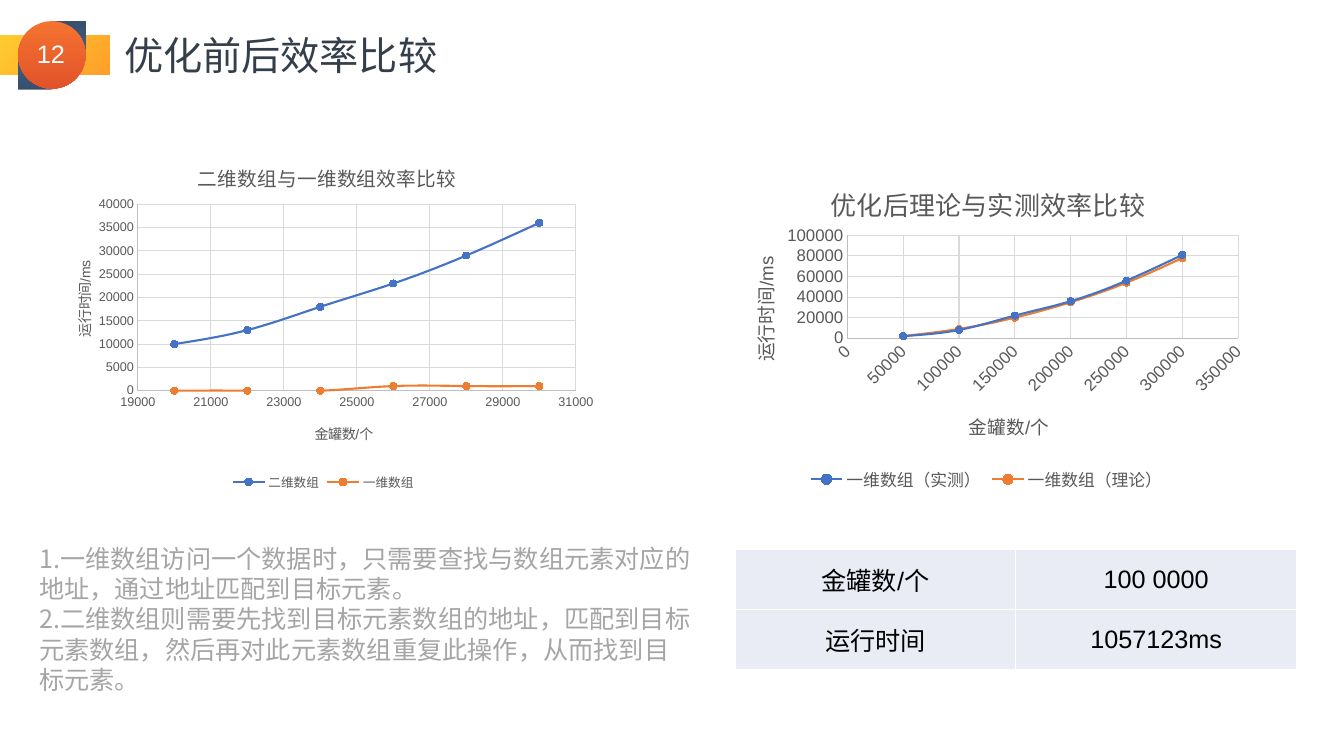
import pptx
import pptx.chart.data
import pptx.dml.color
import pptx.enum.chart
import pptx.enum.shapes
import pptx.enum.text
import pptx.oxml
import pptx.oxml.ns
import pptx.util

Inches, Pt = pptx.util.Inches, pptx.util.Pt
RGB = pptx.dml.color.RGBColor.from_string
qn = pptx.oxml.ns.qn
SHAPE = pptx.enum.shapes.MSO_SHAPE
ALIGN, ANCHOR = pptx.enum.text.PP_ALIGN, pptx.enum.text.MSO_ANCHOR
CHART_NS = pptx.oxml.ns.nsdecls("c")

THEME = {
    "title": {"size": Pt(28), "name": "Noto Sans CJK SC", "color": "353F4B"},
    "number": {"size": Pt(18), "name": "Arial", "color": "FFFFFF"},
    "cell": {"size": Pt(18), "name": "Arial", "color": "000000"},
    "note": {"size": Pt(18), "name": "Lato", "color": "A5A5A5"},
    "chart": {"name": "Arial", "color": "595959", "bold": False},
    "yellow": ("FFCC30", "FF9F2A"),
    "navy": ("384F6E", "4A6C90"),
    "orange": ("F47331", "E25329"),
    "series": ("4472C4", "ED7D31"),
    "axis": "BFBFBF", "grid": "D9D9D9", "cell_fill": "E9EBF5",
}


def style(font, role, **extra):
    for key, value in {**THEME[role], **extra}.items():
        if key == "color":
            font.color.rgb = RGB(value)
        else:
            setattr(font, key, value)


def place(parent, after, **box):
    """Put a manual layout, in fractions of the chart, after a child element."""
    for old in parent.findall(qn("c:layout")):
        parent.remove(old)
    target = '<c:layoutTarget val="inner"/>' if "w" in box else ""
    modes = "".join(f'<c:{k}Mode val="edge"/>' for k in "xy")
    sizes = "".join(f'<c:{k} val="{v}"/>' for k, v in box.items())
    layout = pptx.oxml.parse_xml(
        f"<c:layout {CHART_NS}><c:manualLayout>{target}{modes}{sizes}"
        "</c:manualLayout></c:layout>")
    if after is None:
        parent.insert(0, layout)
    else:
        after.addnext(layout)


prs = pptx.Presentation()
prs.slide_width, prs.slide_height = Inches(13.33), Inches(7.5)
s = prs.slides.add_slide(prs.slide_layouts[5])

# Page number badge
badge = [
    (SHAPE.RECTANGLE, 0, 0.35, 1.09, 0.39, "yellow", 45, 0),
    (SHAPE.TEAR, 0.28, 0.21, 0.58, 0.58, "navy", 90, 0),
    (SHAPE.TEAR, 0.18, 0.31, 0.58, 0.58, "navy", 90, 180),
    (SHAPE.OVAL, 0.18, 0.21, 0.67, 0.67, "orange", 90, 0),
]
for kind, x, y, w, h, colors, angle, turn in badge:
    sp = s.shapes.add_shape(kind, Inches(x), Inches(y), Inches(w), Inches(h))
    sp.shadow.inherit = False
    sp.rotation = turn
    sp.line.fill.background()
    sp.fill.gradient()
    sp.fill.gradient_angle = 360 - angle
    for stop, color in zip(sp.fill.gradient_stops, THEME[colors]):
        stop.color.rgb = RGB(color)
tf = s.shapes.add_textbox(Inches(0.25), Inches(0.33), Inches(0.51), Inches(0.4)).text_frame
p = tf.paragraphs[0]
p.text, p.alignment = "12", ALIGN.CENTER
style(p.runs[0].font, "number")

# Title
title = s.shapes.title
title.left, title.top, title.width, title.height = (
    Inches(v) for v in (1.13, 0.26, 3.34, 0.57))
tf = title.text_frame
tf.text, tf.word_wrap, tf.vertical_anchor = "优化前后效率比较", False, ANCHOR.MIDDLE
tf.auto_size = pptx.enum.text.MSO_AUTO_SIZE.NONE
p = tf.paragraphs[0]
p.alignment = ALIGN.LEFT
style(p.runs[0].font, "title")

# Charts
charts = [
    {"box": (0.42, 1.35, 5.57, 3.56), "title": "二维数组与一维数组效率比较",
     "sizes": (14, 10, 9), "x_scale": (19000, 31000, 2000), "y_scale": (0, 40000, 5000),
     "plot": {"x": 0.17, "y": 0.19, "w": 0.78, "h": 0.52}, "title_at": (0.27, 0.06),
     "x_at": (0.48, 0.79), "y_at": (0.05, 0.34), "x_turn": 0,
     "x": range(20000, 30001, 2000),
     "series": {"二维数组": (10000, 13000, 18000, 23000, 29000, 36000),
                "一维数组": (0, 0, 0, 1000, 1000, 1000)}},
    {"box": (7.13, 1.52, 5.31, 3.4), "title": "优化后理论与实测效率比较",
     "sizes": (18.6, 13.3, 12), "x_scale": (0, 350000, 50000), "y_scale": (0, 100000, 20000),
     "plot": {"x": 0.24, "y": 0.24, "w": 0.73, "h": 0.3}, "title_at": (0.2, 0.07),
     "x_at": (0.46, 0.74), "y_at": (0.05, 0.29), "x_turn": -45,
     "x": range(50000, 300001, 50000),
     "series": {"一维数组（实测）": (2000, 8000, 22000, 36000, 56000, 81000),
                "一维数组（理论）": (2000, 9000, 20000, 35000, 54000, 78000)}},
]
for c in charts:
    data = pptx.chart.data.XyChartData()
    for name, values in c["series"].items():
        ser = data.add_series(name)
        for x, y in zip(c["x"], values):
            ser.add_data_point(x, y)
    chart = s.shapes.add_chart(pptx.enum.chart.XL_CHART_TYPE.XY_SCATTER_SMOOTH,
                               *(Inches(v) for v in c["box"]), data).chart
    title_size, axis_size, label_size = (Pt(v) for v in c["sizes"])
    style(chart.font, "chart", size=label_size)
    chart.has_legend = True
    chart.legend.position = pptx.enum.chart.XL_LEGEND_POSITION.BOTTOM
    chart.legend.include_in_layout = False
    style(chart.legend.font, "chart", size=label_size)

    # Axes and titles
    x_axis, y_axis = chart.category_axis, chart.value_axis
    for axis, scale in ((x_axis, c["x_scale"]), (y_axis, c["y_scale"])):
        axis.minimum_scale, axis.maximum_scale, axis.major_unit = scale
        axis.major_tick_mark = axis.minor_tick_mark = pptx.enum.chart.XL_TICK_MARK.NONE
        axis.has_major_gridlines = True
        for line, color in ((axis.format.line, "axis"), (axis.major_gridlines.format.line, "grid")):
            line.color.rgb, line.width = RGB(THEME[color]), Pt(0.75)
        style(axis.tick_labels.font, "chart", size=label_size)
        axis.tick_labels.number_format = "General"
        axis.tick_labels.number_format_is_linked = False
    body = x_axis._element.find(qn("c:txPr")).find(qn("a:bodyPr"))
    body.set("rot", str(c["x_turn"] * 60000))
    for owner, text, at, size in ((chart, c["title"], c["title_at"], title_size),
                                  (x_axis, "金罐数/个", c["x_at"], axis_size),
                                  (y_axis, "运行时间/ms", c["y_at"], axis_size)):
        owner.has_title = True
        heading = owner.chart_title if owner is chart else owner.axis_title
        heading.text_frame.text = text
        style(heading.text_frame.paragraphs[0].runs[0].font, "chart", size=size)
        if owner is y_axis:
            body = heading.text_frame._txBody.find(qn("a:bodyPr"))
            body.set("rot", "-5400000")
            body.set("vert", "horz")
        place(heading._element, heading._element.find(qn("c:tx")), x=at[0], y=at[1])
    place(chart._chartSpace.chart.plotArea, None, **c["plot"])

    # Curves
    plot = chart.plots[0]
    plot.vary_by_categories = False
    for ser, color in zip(plot.series, THEME["series"]):
        ser.format.line.color.rgb, ser.format.line.width = RGB(color), Pt(1.5)
        ser._element.find(qn("c:smooth")).set("val", "1")
        marker = ser.marker
        marker.style, marker.size = pptx.enum.chart.XL_MARKER_STYLE.CIRCLE, 5
        marker.format.fill.solid()
        marker.format.fill.fore_color.rgb = RGB(color)
        marker.format.line.color.rgb = RGB(color)

# Table of the largest run
rows = [("金罐数/个", "100 0000"), ("运行时间", "1057123ms")]
table = s.shapes.add_table(2, 2, Inches(7.29), Inches(5.45), Inches(5.57), Inches(1.19)).table
table.first_row = table.horz_banding = False
for i, row in enumerate(rows):
    for j, text in enumerate(row):
        cell = table.cell(i, j)
        cell.text, cell.vertical_anchor = text, ANCHOR.MIDDLE
        cell.fill.solid()
        cell.fill.fore_color.rgb = RGB(THEME["cell_fill"])
        p = cell.text_frame.paragraphs[0]
        p.alignment = ALIGN.CENTER
        style(p.runs[0].font, "cell")

# Numbered explanation
notes = [
    "一维数组访问一个数据时，只需要查找与数组元素对应的地址，通过地址匹配到目标元素。",
    "二维数组则需要先找到目标元素数组的地址，匹配到目标元素数组，然后再对此元素数组重复此操作，从而找到目标元素。",
]
tf = s.shapes.add_textbox(Inches(0.29), Inches(5.34), Inches(6.67), Inches(1.62)).text_frame
tf.word_wrap = True
for i, text in enumerate(notes):
    p = tf.add_paragraph() if i else tf.paragraphs[0]
    r = p.add_run()
    r.text = text
    style(r.font, "note")
    p._p.get_or_add_pPr().append(pptx.oxml.parse_xml(
        f'<a:buAutoNum {pptx.oxml.ns.nsdecls("a")} type="arabicPeriod"/>'))

prs.save("out.pptx")
